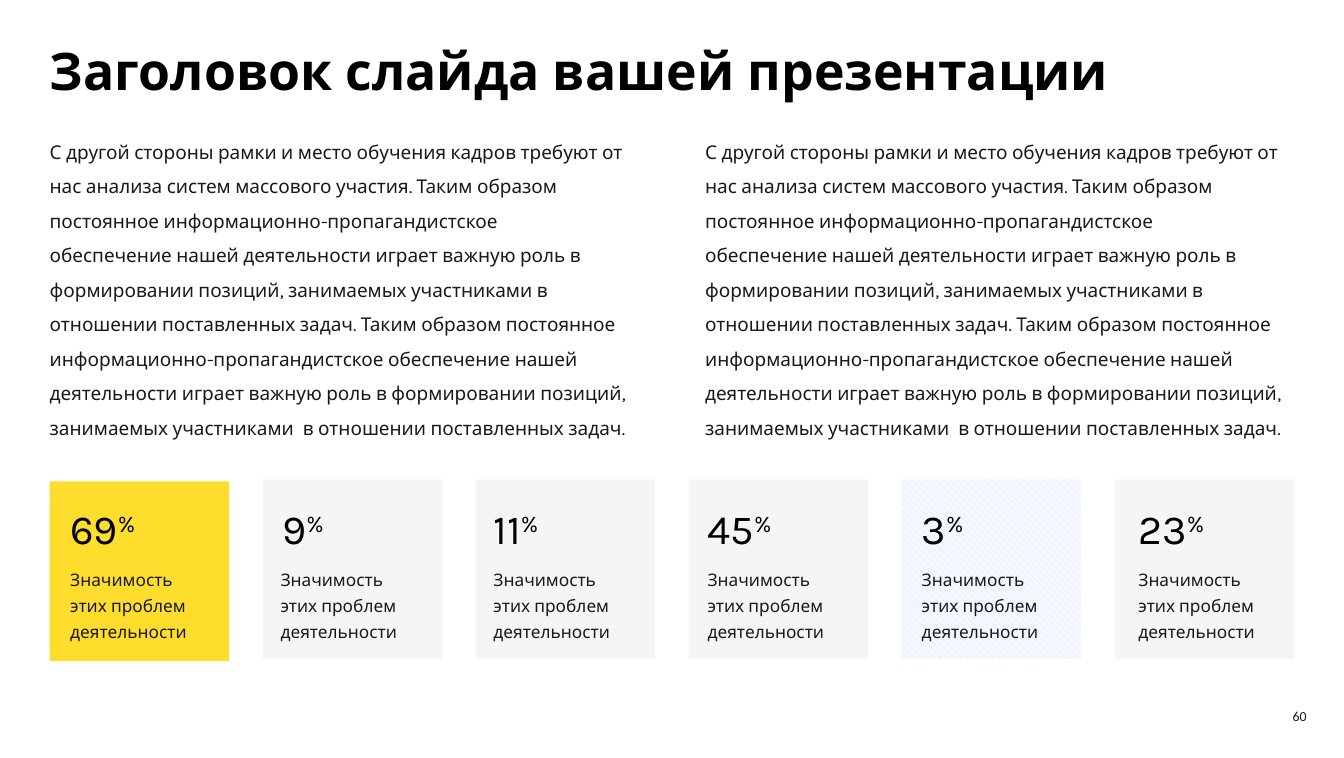
from dataclasses import dataclass
from typing import Optional

from pptx import Presentation
from pptx import util as u
from pptx.dml.color import RGBColor
from pptx.enum import dml, shapes, text
from pptx.slide import Slide
from pptx.text.text import TextFrame

BLACK = RGBColor(0x00, 0x00, 0x00)
INK = RGBColor(0x1A, 0x19, 0x19)
GREY = RGBColor(0xF5, 0xF5, 0xF6)
YELLOW = RGBColor(0xFF, 0xDD, 0x2D)
STRIPE = RGBColor(0xC9, 0xDC, 0xFF)
WHITE = RGBColor(0xFF, 0xFF, 0xFF)

MARGIN = 57.6
CARD_SIDE = 208.1
CARD_PITCH = 247.1
CARD_TOP = 555.8
FIGURE_TOP = 571
CAPTION_TOP = 653.8

NBSP = chr(160)
TITLE = "Заголовок слайда вашей презентации"
STORY = (
    "С другой стороны рамки и место обучения кадров требуют от нас анализа систем "
    "массового участия. Таким образом постоянное информационно-пропагандистское "
    f"обеспечение{NBSP}нашей деятельности играет важную роль в формировании позиций, "
    "занимаемых участниками в отношении поставленных задач. Таким образом постоянное "
    "информационно-пропагандистское обеспечение нашей деятельности играет важную роль "
    f"в{NBSP}формировании позиций, занимаемых участниками{NBSP} в отношении "
    f"поставленных задач.{NBSP}"
)
CAPTION = "Значимость этих проблем деятельности"


@dataclass(frozen=True)
class Box:
    left: float
    top: float
    width: float
    height: float


@dataclass(frozen=True)
class Style:
    size: float
    color: RGBColor
    font: str = "Karla"
    bold: bool = False
    leading: Optional[float] = None
    align: text.PP_ALIGN = text.PP_ALIGN.LEFT
    anchor: text.MSO_ANCHOR = text.MSO_ANCHOR.TOP


@dataclass(frozen=True)
class Card:
    share: str
    figure_left: float
    caption_left: float
    fill: RGBColor = GREY
    striped: bool = False
    drop: float = 0


HEADLINE = Style(60, BLACK, bold=True)
BODY = Style(22, INK, leading=40)
FIGURE = Style(48, BLACK, leading=68.9, anchor=text.MSO_ANCHOR.MIDDLE)
LABEL = Style(20, INK, leading=30)
PAGE = Style(16, INK, font="Calibri", align=text.PP_ALIGN.RIGHT,
             anchor=text.MSO_ANCHOR.MIDDLE)

CARDS = [
    Card("69", 81.4, 81.4, fill=YELLOW, drop=2.2),
    Card("9", 327.6, 325.4),
    Card("11", 572.4, 572.4),
    Card("45", 820.8, 820.8),
    Card("3", 1069.2, 1069.2, striped=True),
    Card("23", 1320.5, 1320.5),
]


def add_text(slide: Slide, box: Box, style: Style, *pieces: str) -> TextFrame:
    frame = slide.shapes.add_textbox(
        u.Pt(box.left), u.Pt(box.top), u.Pt(box.width), u.Pt(box.height)
    ).text_frame
    frame.word_wrap = True
    frame.vertical_anchor = style.anchor
    frame.margin_left = frame.margin_right = u.Pt(0)
    frame.margin_top = frame.margin_bottom = u.Pt(0)
    paragraph = frame.paragraphs[0]
    paragraph.alignment = style.align
    if style.leading:
        paragraph.line_spacing = u.Pt(style.leading)
    for piece in pieces:
        run = paragraph.add_run()
        run.text = piece
        run.font.name = style.font
        run.font.size = u.Pt(style.size)
        run.font.bold = style.bold
        run.font.color.rgb = style.color
    return frame


def add_card(slide: Slide, card: Card, left: float) -> None:
    tile = slide.shapes.add_shape(
        shapes.MSO_SHAPE.RECTANGLE, u.Pt(left), u.Pt(CARD_TOP + card.drop),
        u.Pt(CARD_SIDE), u.Pt(CARD_SIDE)
    )
    tile.shadow.inherit = False
    tile.line.fill.background()
    if card.striped:
        tile.fill.patterned()
        tile.fill.pattern = dml.MSO_PATTERN.LIGHT_DOWNWARD_DIAGONAL
        tile.fill.fore_color.rgb = STRIPE
        tile.fill.back_color.rgb = WHITE
    else:
        tile.fill.solid()
        tile.fill.fore_color.rgb = card.fill
    figure = add_text(slide, Box(card.figure_left, FIGURE_TOP, 153.4, 70.6),
                      FIGURE, card.share, "%")
    percent = figure.paragraphs[0].runs[1]
    percent._r.get_or_add_rPr().set("baseline", "30000")
    add_text(slide, Box(card.caption_left, CAPTION_TOP, 157, 100.8), LABEL, CAPTION)


def main() -> None:
    deck = Presentation()
    deck.slide_width, deck.slide_height = u.Pt(1559), u.Pt(878.75)
    slide = deck.slides.add_slide(deck.slide_layouts[6])
    add_text(slide, Box(MARGIN, 44.6, 1239, 72.7), HEADLINE, TITLE)
    for column_left in (MARGIN, 817.9):
        add_text(slide, Box(column_left, 149, 673.2, 344.9), BODY, STORY)
    for index, card in enumerate(CARDS):
        add_card(slide, card, MARGIN + index * CARD_PITCH)
    add_text(slide, Box(1445.8, 812.9, 69.8, 33.8), PAGE, "60")
    deck.save("out.pptx")


if __name__ == "__main__":
    main()
